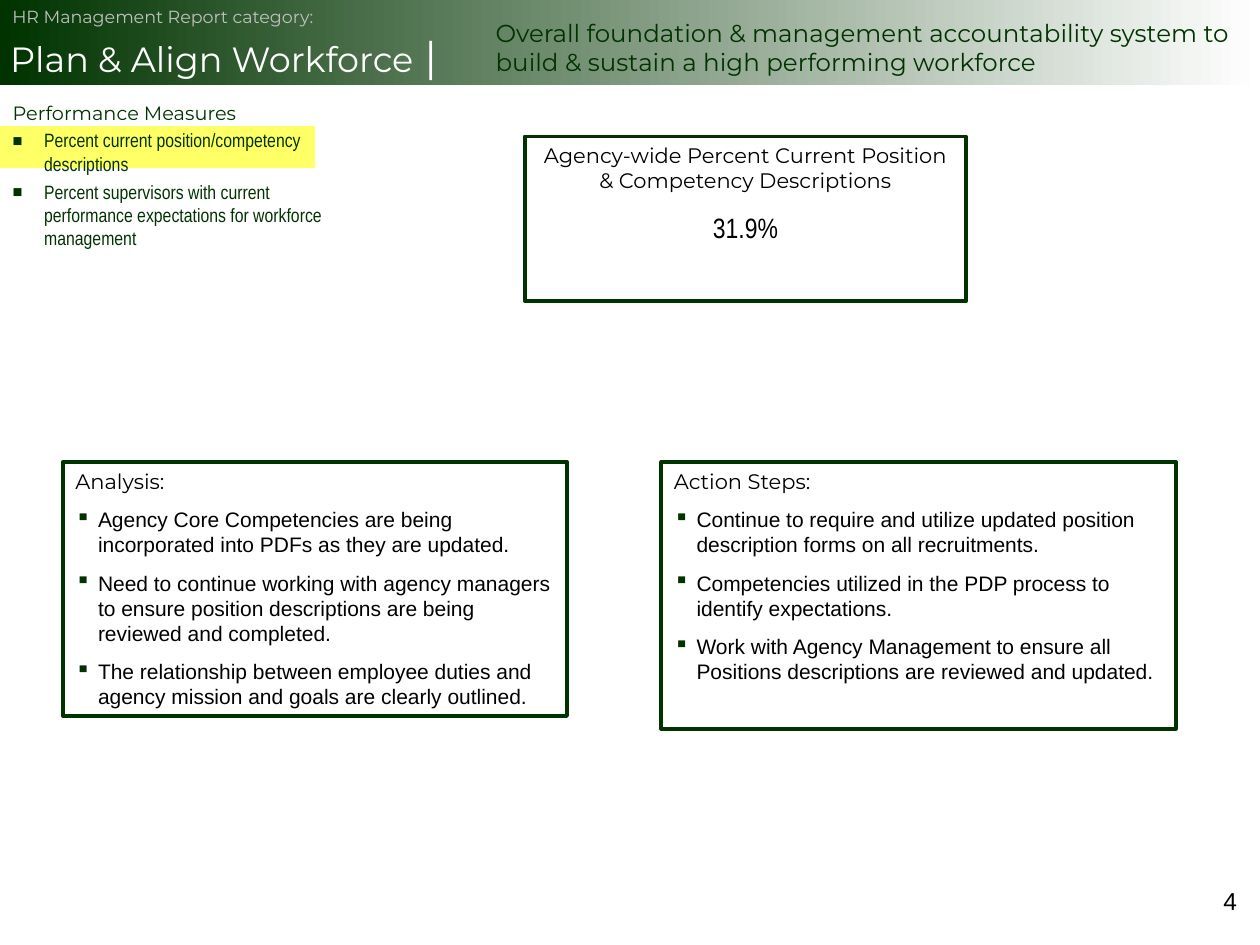
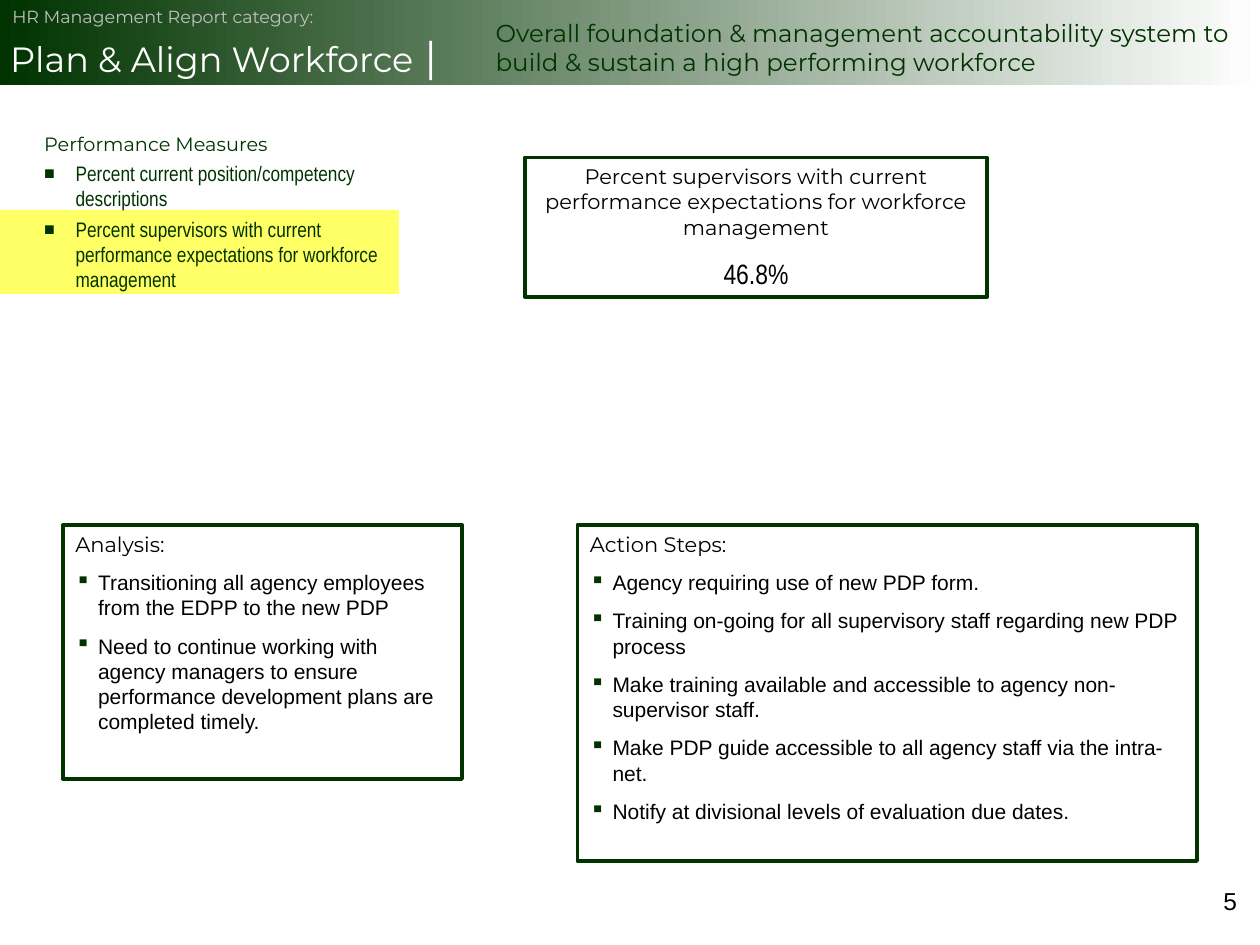
from lxml import etree
from pptx import Presentation
from pptx.dml.color import RGBColor
from pptx.enum.shapes import MSO_SHAPE
from pptx.enum.text import MSO_ANCHOR, MSO_AUTO_SIZE, PP_ALIGN
from pptx.oxml.ns import qn
from pptx.util import Inches, Pt

RECT = MSO_SHAPE.RECTANGLE
TOP, MIDDLE = MSO_ANCHOR.TOP, MSO_ANCHOR.MIDDLE
LEFT, CENTER, RIGHT = PP_ALIGN.LEFT, PP_ALIGN.CENTER, PP_ALIGN.RIGHT
FIXED = MSO_AUTO_SIZE.NONE

COLORS = {"green": "003300", "yellow": "FFFF66", "white": "FFFFFF",
          "gray": "C0C0C0", "black": "000000"}
HEAD, TEXT, SLIM = "Montserrat", "Arial", "Arial Narrow"
CELL = 1 / 12
COLS = 120

SLIDES = [
    {"page": "4",
     "mark": (0, 12, 30, 4), "goals": (0, 9, 33, 25), "size": 11,
     "result": ((50, 13, 42, 15.7),
                "Agency-wide Percent Current Position & Competency Descriptions",
                "31.9%"),
     "panels": [
         ((6, 44, 48, 24.2), "Analysis:", [
             "Agency Core Competencies are being incorporated into PDFs as they are updated.",
             "Need to continue working with agency managers to ensure position descriptions are being reviewed and completed.",
             "The relationship between employee duties and agency mission and goals are clearly outlined."]),
         ((63, 44, 49, 25.4), "Action Steps:", [
             "Continue to require and utilize updated position description forms on all recruitments.",
             "Competencies utilized in the PDP process to identify expectations.",
             "Work with Agency Management to ensure all Positions descriptions are reviewed and updated."])]},
    {"page": "5",
     "mark": (0, 20, 38, 8), "goals": (3, 12, 35, 17), "size": 12,
     "result": ((50, 15, 44, 13.3),
                "Percent supervisors with current performance expectations for workforce management",
                "46.8%"),
     "panels": [
         ((6, 50, 38, 24.2), "Analysis:", [
             "Transitioning all agency employees from the EDPP to the new PDP",
             "Need to continue working with agency managers to ensure performance development plans are completed timely."]),
         ((55, 50, 59, 32), "Action Steps:", [
             "Agency requiring use of new PDP form.",
             "Training on-going for all supervisory staff regarding new PDP process",
             "Make training available and accessible to agency non-supervisor staff.",
             "Make PDP guide accessible to all agency staff via the intra-net.",
             "Notify at divisional levels of evaluation due dates."])]},
]
GOALS = ["Percent current position/competency descriptions",
         "Percent supervisors with current performance expectations for workforce management"]


def paint(name):
    return RGBColor.from_string(COLORS[name])


def grid(*cells):
    return [Inches(cell * CELL) for cell in cells]


def move(shape, cells):
    shape.left, shape.top, shape.width, shape.height = grid(*cells)
    tree = shape.element.getparent()
    tree.append(shape.element)


def setup(shape, anchor=TOP):
    frame = shape.text_frame
    frame.word_wrap = True
    frame.auto_size = FIXED
    frame.vertical_anchor = anchor
    return frame


def bullet(para, char, indent, scale=100):
    props = para._p.get_or_add_pPr()
    props.set("marL", str(Inches(indent)))
    props.set("indent", str(-Inches(indent)))
    if not char:
        etree.SubElement(props, qn("a:buNone"))
        return
    tint = etree.SubElement(props, qn("a:buClr"))
    etree.SubElement(tint, qn("a:srgbClr")).set("val", COLORS["green"])
    etree.SubElement(props, qn("a:buSzPct")).set("val", str(scale * 1000))
    etree.SubElement(props, qn("a:buChar")).set("char", char)


def write(frame, text, font, size, color, align=LEFT, gap=0, mark=None):
    first = not frame.text
    para = frame.paragraphs[0] if first else frame.add_paragraph()
    if mark:
        bullet(para, *mark)
    para.add_run().text = text
    para.alignment = align
    para.space_before = Pt(0 if first else gap)
    para.font.name = font
    para.font.size = Pt(size)
    para.font.color.rgb = paint(color)
    return para


def block(slide, cells, fill=None, line=None):
    shape = slide.shapes.add_shape(RECT, *grid(*cells))
    shape.shadow.inherit = False
    if fill:
        shape.fill.solid()
        shape.fill.fore_color.rgb = paint(fill)
    else:
        shape.fill.background()
    if line:
        shape.line.color.rgb = paint(line)
        shape.line.width = Pt(2.25)
    else:
        shape.line.fill.background()
    return shape


def label(slide, cells, *style):
    box = slide.shapes.add_textbox(*grid(*cells))
    write(setup(box), *style)


def banner(slide):
    band = block(slide, (0, 0, COLS, 8.1))
    band.fill.gradient()
    band.fill.gradient_angle = 0
    for stop, name in zip(band.fill.gradient_stops, ("green", "white")):
        stop.color.rgb = paint(name)
    frame = setup(band)
    frame.margin_left = frame.margin_right = Inches(0.08)
    frame.margin_top = frame.margin_bottom = Inches(0.04)
    para = write(frame, "Plan & Align Workforce", HEAD, 20, "white")
    para.line_spacing = 1.5
    bar = para.add_run()
    bar.text = " |"
    bar.font.size = Pt(24)

    label(slide, (0, 0, 36, 3.2), "HR Management Report category:", HEAD, 10, "gray")
    title = slide.shapes.title
    move(title, (46, 0, 74, 9))
    write(setup(title, MIDDLE),
          "Overall foundation & management accountability system to "
          "build & sustain a high performing workforce", HEAD, 14, "green")


def goals(slide, cells, size):
    body = slide.placeholders[1]
    move(body, cells)
    frame = setup(body)
    write(frame, "Performance Measures", HEAD, 11, "green", mark=("", 0.25))
    for goal in GOALS:
        write(frame, goal, SLIM, size, "green", gap=size / 4, mark=("■", 0.25, 85))


def result(slide, cells, name, value):
    frame = setup(block(slide, cells, line="green"))
    write(frame, name, HEAD, 12, "black", CENTER)
    write(frame, value, SLIM, 16, "black", CENTER, 10)


def panel(slide, cells, head, points):
    frame = setup(block(slide, cells, line="green"))
    write(frame, head, HEAD, 12, "black")
    for point in points:
        write(frame, point, TEXT, 12, "black", gap=7.5, mark=("▪", 0.18))


def main():
    deck = Presentation()
    deck.slide_width, deck.slide_height = Inches(10), Inches(7.5)
    for data in SLIDES:
        slide = deck.slides.add_slide(deck.slide_layouts[1])
        block(slide, data["mark"], fill="yellow")
        goals(slide, data["goals"], data["size"])
        banner(slide)
        result(slide, *data["result"])
        for part in data["panels"]:
            panel(slide, *part)
        label(slide, (91, 83.8, 28, 6.2), data["page"], TEXT, 14, "black", RIGHT)
    deck.save("out.pptx")


if __name__ == "__main__":
    main()
